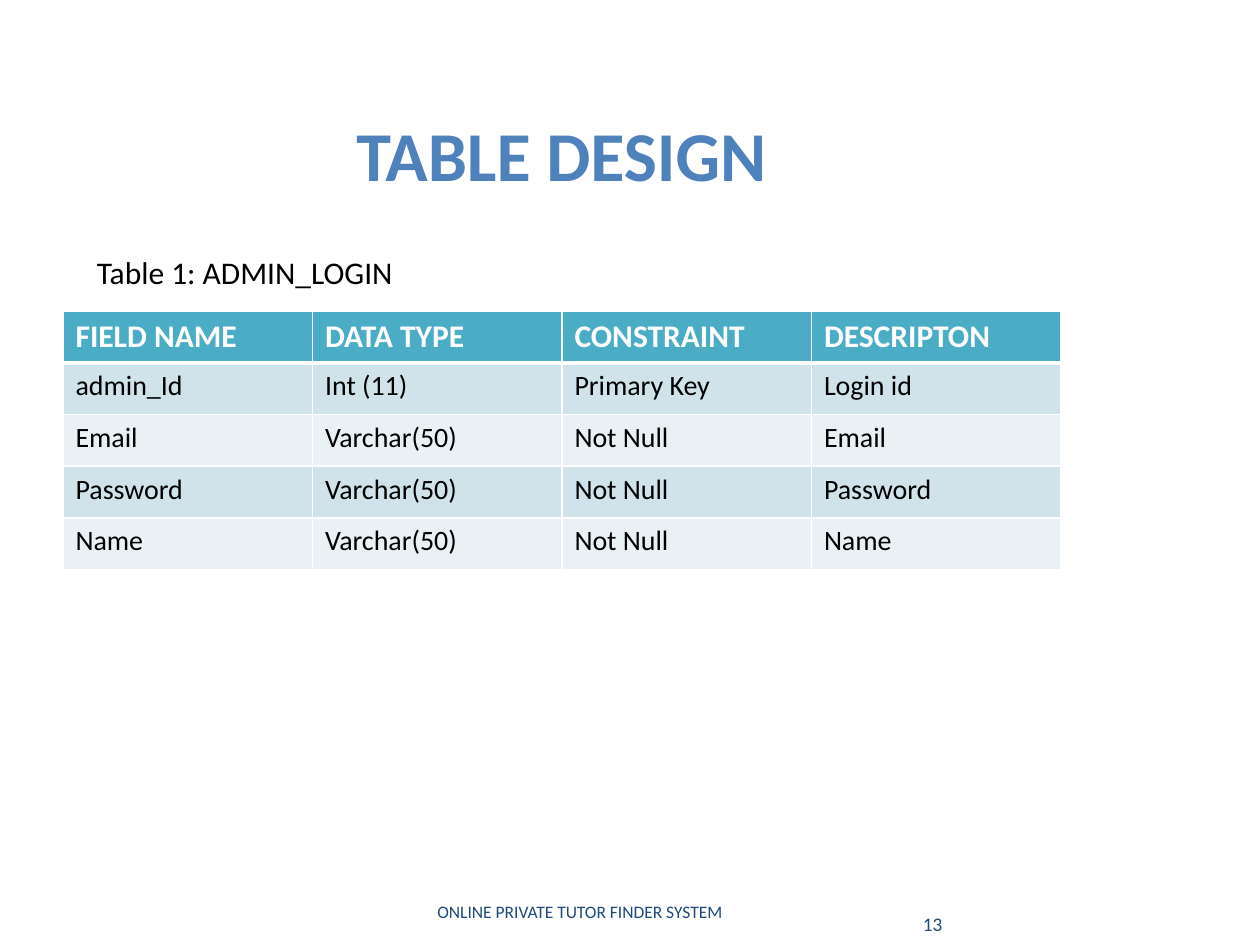
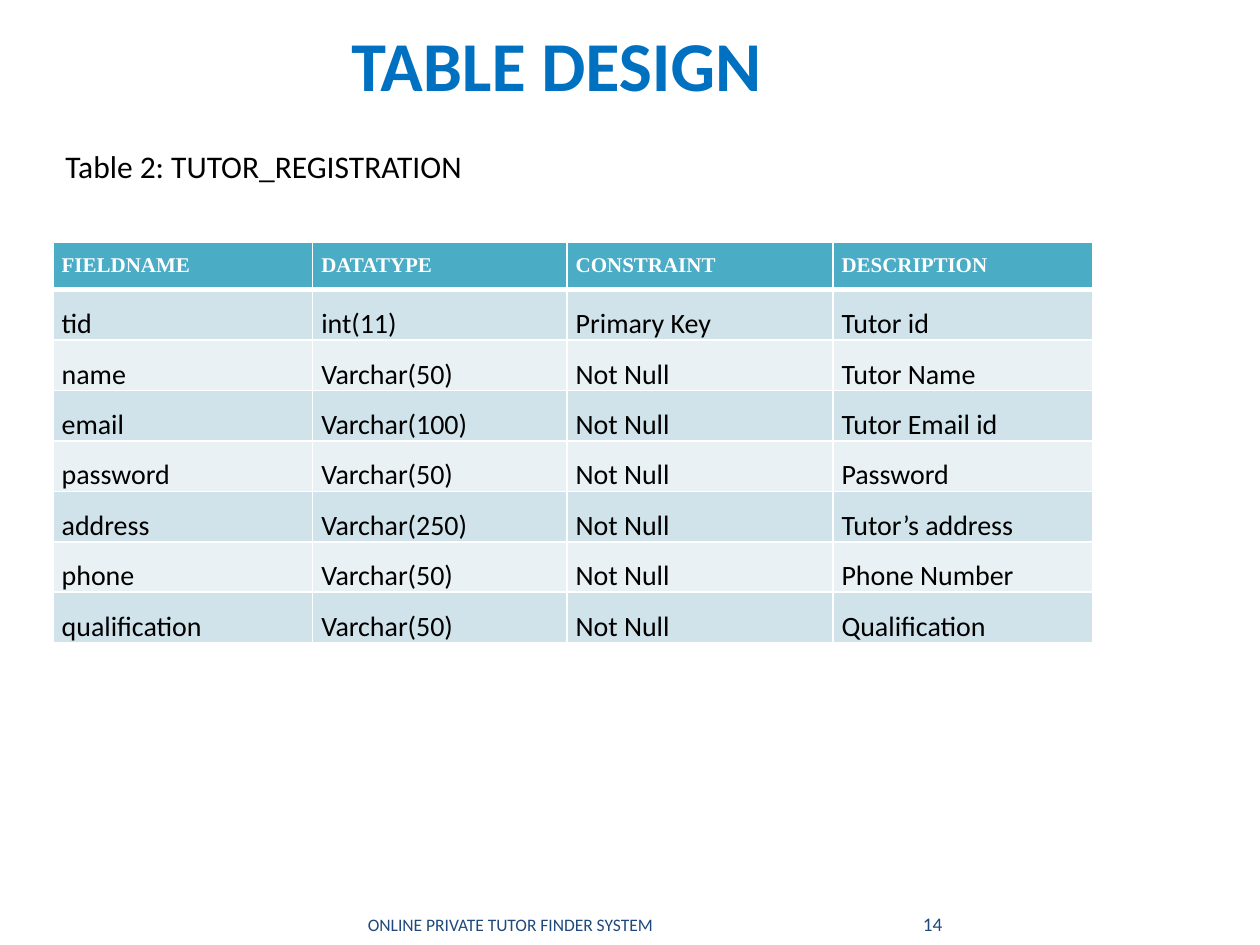
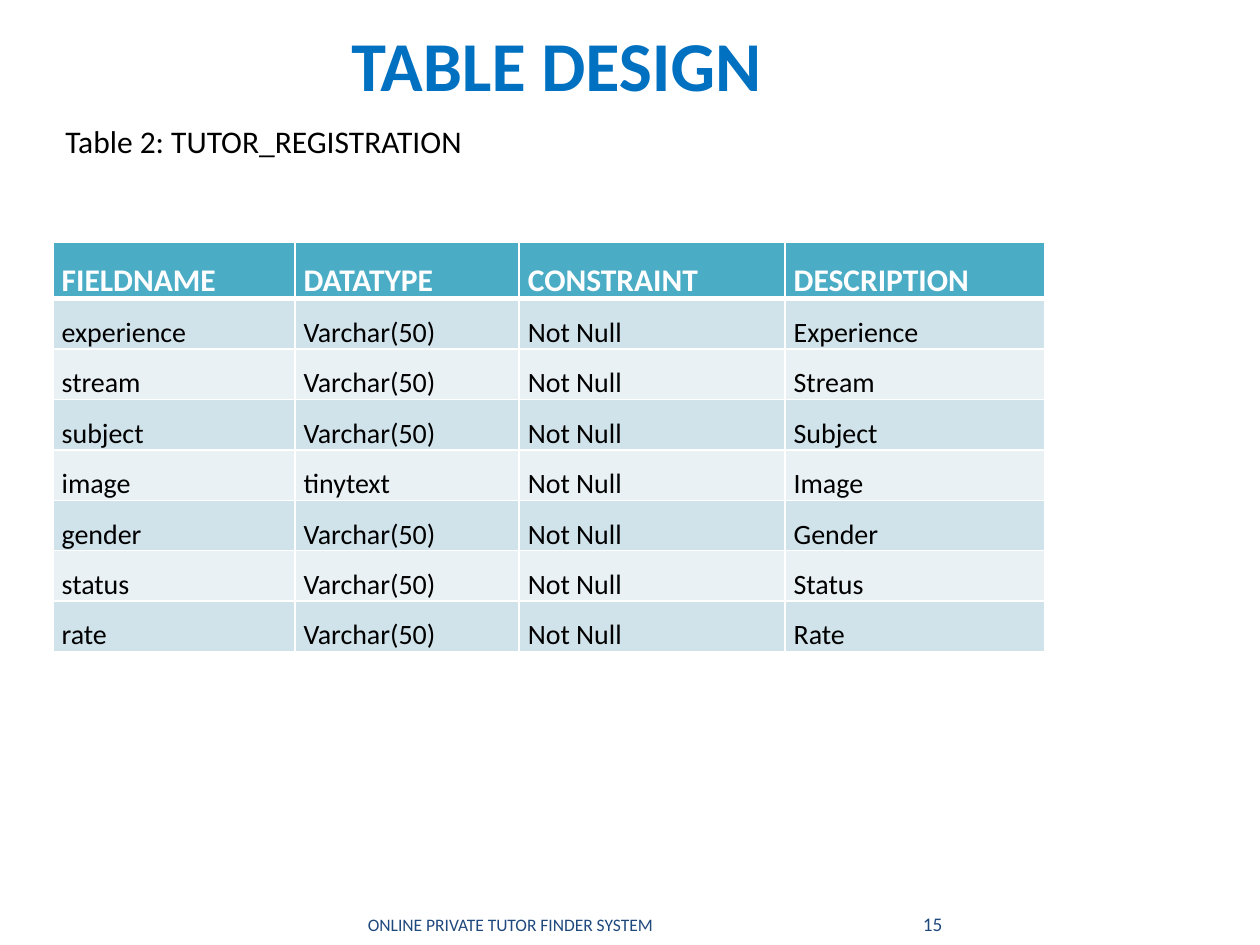
from dataclasses import dataclass

from lxml import etree
from pptx import Presentation
from pptx.dml.color import RGBColor
from pptx.enum.text import MSO_ANCHOR, MSO_AUTO_SIZE, PP_ALIGN
from pptx.oxml.ns import qn
from pptx.util import Inches, Pt

LEFT, CENTER, RIGHT, JUSTIFY = PP_ALIGN.LEFT, PP_ALIGN.CENTER, PP_ALIGN.RIGHT, PP_ALIGN.JUSTIFY
TOP, BOTTOM = MSO_ANCHOR.TOP, MSO_ANCHOR.BOTTOM
GROW, FIXED = MSO_AUTO_SIZE.SHAPE_TO_FIT_TEXT, MSO_AUTO_SIZE.NONE

# Shared look
SANS, SERIF = "Calibri", "Times New Roman"
SKY, BLUE, NAVY = "4F81BD", "0070C0", "1F497D"
TEAL, BAND_DARK, BAND_LIGHT = "4BACC6", "D0E3EA", "E9F1F5"
WHITE, BLACK, TITLE_EDGE = "FFFFFF", "000000", "FCFCFD"
TITLE_TEXT = "TABLE DESIGN"
FOOTER_TEXT = "ONLINE PRIVATE TUTOR FINDER SYSTEM"


@dataclass
class Style:
    size: float
    color: str
    bold: bool = False
    font: str = SANS
    align: int = LEFT


@dataclass
class Frame:
    left: float
    top: float
    width: float
    height: float
    anchor: int = TOP
    wrap: bool = False
    insets: tuple = (0.1, 0.05, 0.1, 0.05)


@dataclass
class FieldTable:
    left: float
    top: float
    columns: list
    row_height: float
    rows: list
    header: Style
    body: Style
    insets: tuple = (0.07, 0, 0.07, 0)
    line_spacing: float = 1.5


@dataclass
class TablePage:
    number: int
    title: Frame
    title_color: str
    caption: str
    caption_frame: Frame
    table: FieldTable
    footer: Frame
    footer_align: int = CENTER


def rgb(color: str) -> RGBColor:
    return RGBColor.from_string(color)


def set_all(target, values: dict) -> None:
    for name, value in values.items():
        setattr(target, name, value)


def margins(insets: tuple) -> dict:
    sides = ("left", "top", "right", "bottom")
    return {f"margin_{side}": Inches(inset) for side, inset in zip(sides, insets)}


def line_element(tag: str, color: str, width: float):
    line = etree.Element(qn(tag), w=str(int(Pt(width))))
    fill = etree.SubElement(line, qn("a:solidFill"))
    etree.SubElement(fill, qn("a:srgbClr"), val=color)
    return line


def write(para, text: str, style: Style):
    para.alignment = style.align
    span = para.add_run()
    span.text = text
    set_all(span.font, {"name": style.font, "size": Pt(style.size), "bold": style.bold})
    span.font.color.rgb = rgb(style.color)
    return span


def add_text(page, frame: Frame, text: str, style: Style):
    place = (frame.left, frame.top, frame.width, frame.height)
    box = page.shapes.add_textbox(*map(Inches, place))
    set_all(box.text_frame, {
        "word_wrap": frame.wrap,
        "auto_size": FIXED if frame.wrap else GROW,
        "vertical_anchor": frame.anchor,
        **margins(frame.insets),
    })
    return write(box.text_frame.paragraphs[0], text, style)


def add_field_table(page, data: FieldTable) -> None:
    count = len(data.rows)
    table = page.shapes.add_table(
        count, len(data.columns), Inches(data.left), Inches(data.top),
        Inches(sum(data.columns)), Inches(data.row_height * count)).table
    for column, width in zip(table.columns, data.columns):
        column.width = Inches(width)
    for index, texts in enumerate(data.rows):
        table.rows[index].height = Inches(data.row_height)
        style = data.body if index else data.header
        fill = (BAND_DARK if index % 2 else BAND_LIGHT) if index else TEAL
        # The rule under the header is thicker than the grid
        borders = {"a:lnL": 1, "a:lnR": 1,
                   "a:lnT": 3 if index == 1 else 1, "a:lnB": 1 if index else 3}
        for cell, text in zip(table.rows[index].cells, texts):
            set_all(cell, margins(data.insets))
            properties = cell._tc.get_or_add_tcPr()
            for tag, width in borders.items():
                properties.append(line_element(tag, WHITE, width))
            cell.fill.solid()
            cell.fill.fore_color.rgb = rgb(fill)
            para = cell.text_frame.paragraphs[0]
            para.line_spacing = data.line_spacing
            write(para, text, style)


def add_page(deck, content: TablePage) -> None:
    page = deck.slides.add_slide(deck.slide_layouts[6])
    title = add_text(page, content.title, TITLE_TEXT,
                     Style(40, content.title_color, True, align=CENTER))
    title.font._element.insert(0, line_element("a:ln", TITLE_EDGE, 1.4))
    add_field_table(page, content.table)
    add_text(page, content.footer, FOOTER_TEXT, Style(10, NAVY, align=content.footer_align))
    add_text(page, NUMBER_FRAME, str(content.number), Style(11, NAVY, align=RIGHT))
    add_text(page, content.caption_frame, content.caption, Style(18, BLACK))


def footer_frame(left: float, top: float) -> Frame:
    return Frame(left, top, 4, 0.25, BOTTOM, True, (0.1, 0, 0.1, 0))


# Frames and styles used on several pages
NUMBER_FRAME = Frame(6.84, 7.17, 0.64, 0.25, BOTTOM, True, (0, 0, 0, 0))
HIGH_TITLE = Frame(2.67, 0.12, 3.49, 0.77, BOTTOM)
FOOTER = footer_frame(2.05, 7.17)
BODY = Style(16, BLACK, align=JUSTIFY)
TUTOR_CAPTION = "Table 2: TUTOR_REGISTRATION"
TUTOR_HEADER = ("FIELDNAME", "DATATYPE", "CONSTRAINT", "DESCRIPTION")
TEXT_50, REQUIRED = "Varchar(50)", "Not Null"

ADMIN_ROWS = [
    ("FIELD NAME", "DATA TYPE", "CONSTRAINT", "DESCRIPTON"),
    ("admin_Id", "Int (11)", "Primary Key", "Login id"),
    *((name, TEXT_50, REQUIRED, name) for name in ("Email", "Password", "Name")),
]
TUTOR_ROWS = [
    TUTOR_HEADER,
    ("tid", "int(11)", "Primary Key", "Tutor id"),
    ("name", TEXT_50, REQUIRED, "Tutor Name"),
    ("email", "Varchar(100)", REQUIRED, "Tutor Email id"),
    ("password", TEXT_50, REQUIRED, "Password"),
    ("address", "Varchar(250)", REQUIRED, "Tutor’s address"),
    ("phone", TEXT_50, REQUIRED, "Phone Number"),
    ("qualification", TEXT_50, REQUIRED, "Qualification"),
]
PROFILE_FIELDS = ("experience", "stream", "subject", "image", "gender", "status", "rate")
PROFILE_ROWS = [
    TUTOR_HEADER,
    *((name, "tinytext" if name == "image" else TEXT_50, REQUIRED, name.capitalize())
      for name in PROFILE_FIELDS),
]

PAGES = [
    TablePage(
        13, Frame(2.71, 0.83, 3.49, 0.77, BOTTOM), SKY,
        "Table 1: ADMIN_LOGIN", Frame(0.67, 1.96, 2.58, 0.4),
        FieldTable(0.5, 2.47, [1.98] * 4, 0.41, ADMIN_ROWS, Style(18, WHITE, True),
                   Style(16, BLACK), (0.1, 0.05, 0.1, 0.05), 1.0),
        footer_frame(1.83, 7.07), RIGHT),
    TablePage(
        14, HIGH_TITLE, BLUE, TUTOR_CAPTION, Frame(0.42, 1.12, 3.38, 0.4),
        FieldTable(0.42, 1.92, [2.06, 2.02, 2.11, 2.06], 0.38, TUTOR_ROWS,
                   Style(12, WHITE, True, SERIF, JUSTIFY), BODY),
        FOOTER),
    TablePage(
        15, HIGH_TITLE, BLUE, TUTOR_CAPTION, Frame(0.42, 0.92, 3.38, 0.4),
        FieldTable(0.42, 1.92, [1.92, 1.78, 2.11, 2.06], 0.38, PROFILE_ROWS,
                   Style(18, WHITE, True, align=JUSTIFY), BODY),
        FOOTER),
]


def main() -> None:
    deck = Presentation()
    set_all(deck, {"slide_width": Inches(10), "slide_height": Inches(7.5)})
    for content in PAGES:
        add_page(deck, content)
    deck.save("out.pptx")


if __name__ == "__main__":
    main()
